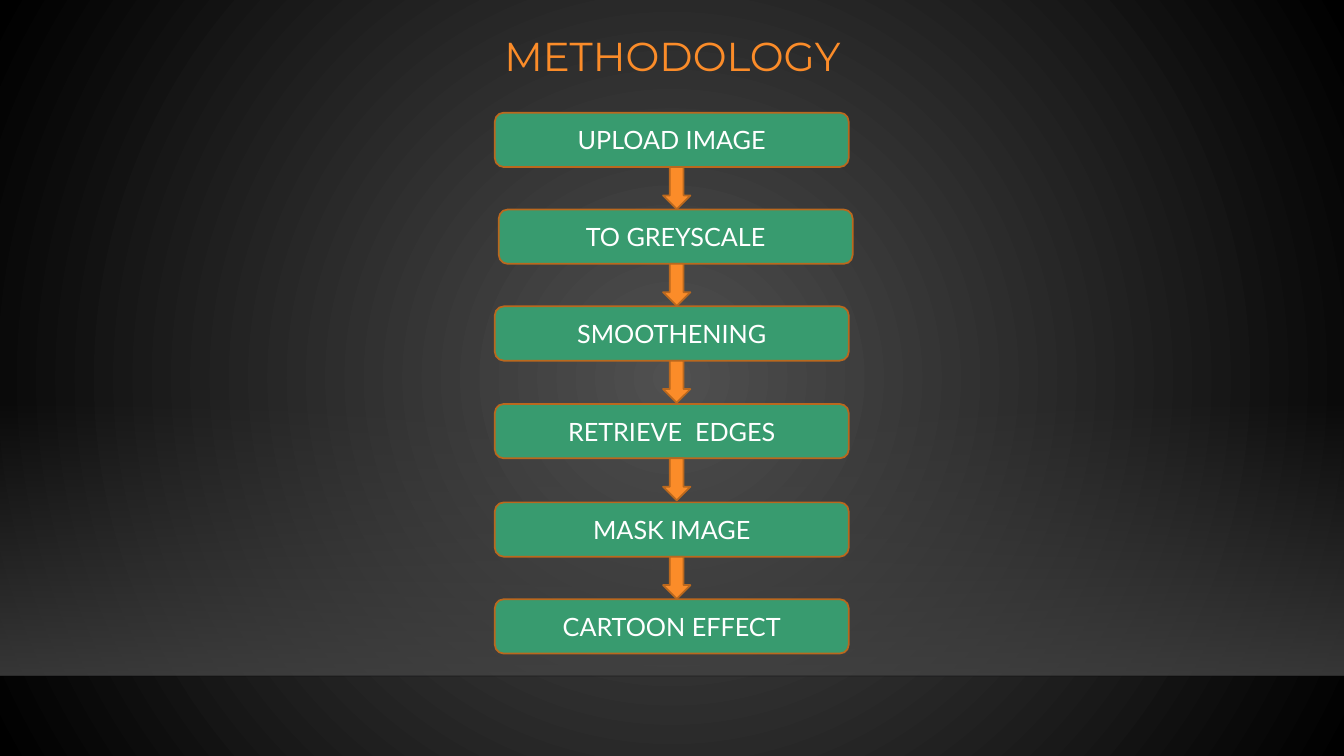
"""Build the Methodology slide: six steps joined by downward arrows."""
from dataclasses import dataclass

from lxml.etree import SubElement
from pptx import Presentation
from pptx.dml.color import RGBColor
from pptx.enum.shapes import MSO_CONNECTOR, MSO_SHAPE
from pptx.enum.text import MSO_ANCHOR, PP_ALIGN
from pptx.oxml import parse_xml
from pptx.oxml.ns import nsdecls, qn
from pptx.util import Cm, Pt


@dataclass(frozen=True)
class Theme:
    glow: str = "505050"
    dark: str = "000000"
    floor: str = "454545"
    edge: str = "000001"
    orange: RGBColor = RGBColor(0xFB, 0x8C, 0x29)
    green: RGBColor = RGBColor(0x38, 0x9B, 0x6F)
    outline: RGBColor = RGBColor(0xBA, 0x68, 0x1E)
    white: RGBColor = RGBColor(0xFF, 0xFF, 0xFF)
    title_font: str = "Montserrat"
    step_font: str = "Lato"
    title_size: Pt = Pt(28.8)
    step_size: Pt = Pt(18)
    outline_width: Pt = Pt(1.25)


def set_gradient(fill, owner, stops, shading):
    """Fill the owner with (position, colour, opacity) stops, in percent."""
    fill.gradient()
    gradient = next(owner.iter(qn("a:gradFill")))
    stop_xml = "".join(
        f'<a:gs pos="{position * 1000}"><a:srgbClr val="{colour}">'
        f'<a:alpha val="{opacity * 1000}"/></a:srgbClr></a:gs>'
        for position, colour, opacity in stops
    )
    gradient.getparent().replace(gradient, parse_xml(
        f'<a:gradFill {nsdecls("a")} rotWithShape="1">'
        f"<a:gsLst>{stop_xml}</a:gsLst>{shading}</a:gradFill>"
    ))


def add_outlined(page, kind, left, top, width, height, colour):
    """Add a flat shape with the common outline."""
    shape = page.shapes.add_shape(kind, left, top, width, height)
    shape.shadow.inherit = False
    shape.fill.solid()
    shape.fill.fore_color.rgb = colour
    shape.line.color.rgb = theme.outline
    shape.line.width = theme.outline_width
    return shape


theme = Theme()
deck = Presentation()
deck.slide_width, deck.slide_height = Cm(33.87), Cm(19.05)
page = deck.slides.add_slide(deck.slide_layouts[6])

set_gradient(
    page.background.fill, page.element,
    [(0, theme.glow, 100), (100, theme.dark, 100)],
    '<a:path path="circle"><a:fillToRect l="50000" t="50000" r="50000" b="50000"/></a:path>',
)

floor_top, floor_bottom = Cm(10.06), Cm(17.03)
floor = page.shapes.add_shape(
    MSO_SHAPE.RECTANGLE, 0, floor_top, deck.slide_width, floor_bottom - floor_top)
floor.shadow.inherit = False
floor.line.fill.background()
set_gradient(
    floor.fill, floor.element,
    [(0, theme.floor, 0), (100, theme.floor, 80)],
    '<a:lin ang="5400000" scaled="0"/>',
)

floor_edge = page.shapes.add_connector(
    MSO_CONNECTOR.STRAIGHT, 0, floor_bottom, deck.slide_width, floor_bottom)
floor_edge.line.width = Pt(1)
floor_edge.line.color.rgb = RGBColor.from_string(theme.edge)
edge_colour = next(floor_edge.element.iter(qn("a:srgbClr")))
SubElement(edge_colour, qn("a:alpha"), val="20000")
SubElement(floor_edge.element.spPr, qn("a:effectLst"))

title = page.shapes.add_textbox(Cm(4.93), Cm(1.02), Cm(24.03), Cm(0.91))
title.text_frame.word_wrap = True
title.text_frame.vertical_anchor = MSO_ANCHOR.MIDDLE
para = title.text_frame.paragraphs[0]
para.text = "METHODOLOGY"
para.alignment = PP_ALIGN.CENTER
para.line_spacing = 0.9
para.font.name = theme.title_font
para.font.size = theme.title_size
para.font.color.rgb = theme.orange

step_width, step_height = Cm(8.92), Cm(1.37)
arrow_left, arrow_width, arrow_height = Cm(16.71), Cm(0.69), Cm(1.06)
steps = [
    ("UPLOAD IMAGE", 12.47, 2.84),
    ("TO GREYSCALE", 12.57, 5.28),
    ("SMOOTHENING", 12.47, 7.72),
    ("RETRIEVE  EDGES", 12.47, 10.18),
    ("MASK IMAGE", 12.47, 12.66),
    ("CARTOON EFFECT", 12.47, 15.1),
]
for number, (label, left, top) in enumerate(steps, start=1):
    box = add_outlined(page, MSO_SHAPE.ROUNDED_RECTANGLE,
                       Cm(left), Cm(top), step_width, step_height, theme.green)
    box.text_frame.vertical_anchor = MSO_ANCHOR.MIDDLE
    para = box.text_frame.paragraphs[0]
    para.text = label
    para.alignment = PP_ALIGN.CENTER
    para.font.name = theme.step_font
    para.font.size = theme.step_size
    para.font.color.rgb = theme.white
    if number < len(steps):
        add_outlined(page, MSO_SHAPE.DOWN_ARROW, arrow_left, Cm(top) + step_height,
                     arrow_width, arrow_height, theme.orange)

deck.save("out.pptx")
